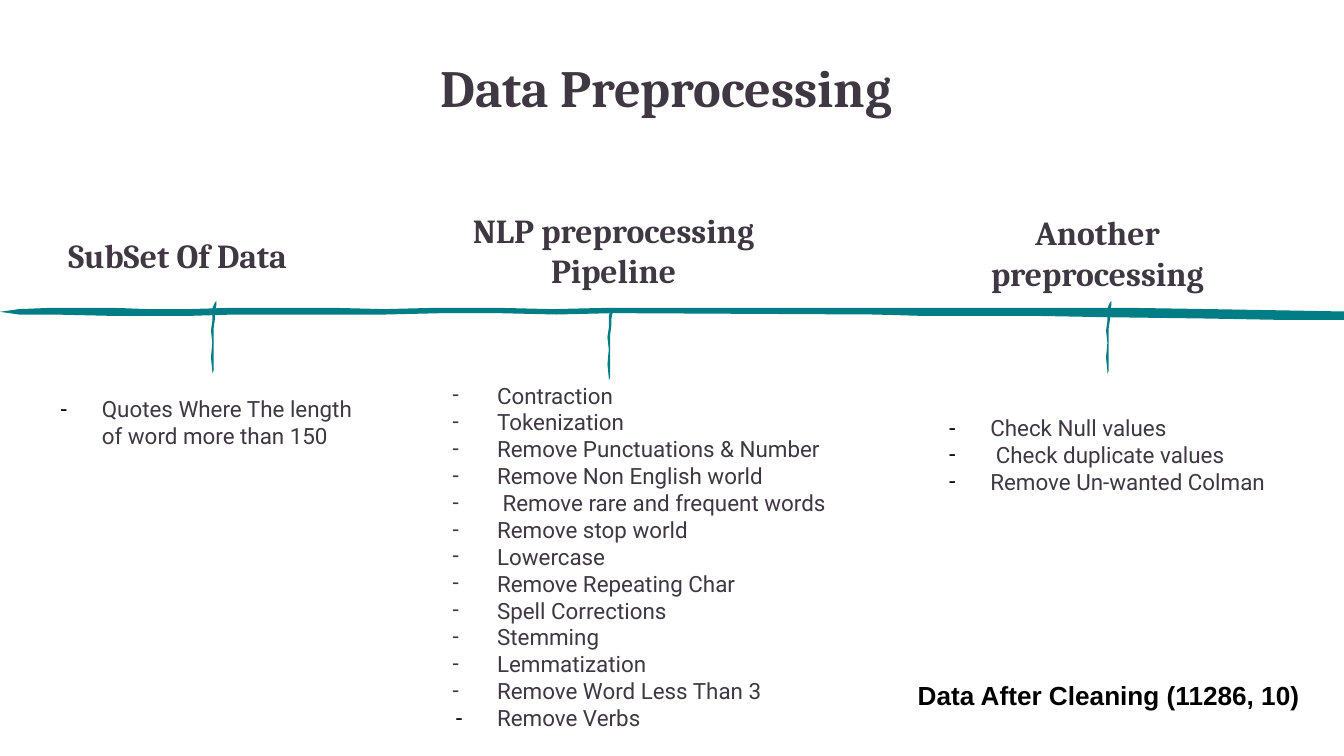
"""Build the Data Preprocessing timeline slide."""
from lxml import etree
from pptx import Presentation
from pptx.dml.color import RGBColor
from pptx.enum.text import MSO_ANCHOR, MSO_AUTO_SIZE, PP_ALIGN
from pptx.oxml.ns import qn
from pptx.util import Inches, Pt

INK = RGBColor(0x3F, 0x37, 0x42)
TEAL = RGBColor(0x00, 0x7D, 0x85)
BLACK = RGBColor(0x00, 0x00, 0x00)
WHITE = RGBColor(0xFF, 0xFF, 0xFF)
LEFT, CENTER = PP_ALIGN.LEFT, PP_ALIGN.CENTER
TOP = MSO_ANCHOR.TOP
GROW = MSO_AUTO_SIZE.SHAPE_TO_FIT_TEXT
FIXED = MSO_AUTO_SIZE.NONE

TIMELINE = [
    (0, 2.32), (0.14, 2.3), (0.39, 2.29), (0.84, 2.29), (1.1, 2.3), (1.4, 2.3),
    (1.73, 2.29), (2.47, 2.29), (2.86, 2.3), (3.25, 2.29), (3.69, 2.29),
    (4.11, 2.3), (4.54, 2.29), (6.48, 2.29), (8.38, 2.29), (9, 2.3),
    (9.57, 2.31), (10.13, 2.32), (10.37, 2.33), (10.67, 2.36), (10.77, 2.37),
    (10.59, 2.38), (9.54, 2.38), (8.98, 2.37), (8.24, 2.36), (7.68, 2.35),
    (6.85, 2.35), (6.5, 2.34), (4.57, 2.33), (4.14, 2.34), (3.7, 2.33),
    (3.3, 2.33), (2.87, 2.34), (1.75, 2.34), (1.42, 2.35), (0.82, 2.35),
    (0.39, 2.34), (0.14, 2.34),
]
TICK = [
    (0.04, 0), (0.03, 0.01), (0.02, 0.03), (0.01, 0.06), (0.01, 0.15),
    (0, 0.22), (0.01, 0.31), (0, 0.42), (0.01, 0.52), (0.01, 0.54),
    (0.02, 0.52), (0.02, 0.2), (0.03, 0.13), (0.03, 0.08), (0.04, 0.03),
]
TICK_ORIGINS = [(1.57, 2.24), (4.52, 2.29), (8.23, 2.24)]

PIPELINE_STEPS = [
    "Contraction", "Tokenization", "Remove Punctuations & Number",
    "Remove Non English world", " Remove rare and frequent words",
    "Remove stop world", "Lowercase", "Remove Repeating Char",
    "Spell Corrections", "Stemming", "Lemmatization",
    "Remove Word Less Than 3", "Remove Verbs",
]
OTHER_STEPS = ["Check Null values", " Check duplicate values", "Remove Un-wanted Colman"]


def write(paragraph, text, font="Cambria", size=18, color=INK, bold=True, align=LEFT):
    paragraph.alignment = align
    run = paragraph.add_run()
    run.text = text
    run.font.name = font
    run.font.size = Pt(size)
    run.font.bold = bold
    run.font.color.rgb = color


def add_dash(paragraph, color, size, indent, font):
    properties = paragraph._p.get_or_add_pPr()
    properties.set("marL", str(Inches(0.5)))
    properties.set("indent", str(Inches(-indent)))
    bullet_color = etree.SubElement(properties, qn("a:buClr"))
    etree.SubElement(bullet_color, qn("a:srgbClr"), val=str(color))
    etree.SubElement(properties, qn("a:buSzPts"), val=str(size * 100))
    etree.SubElement(properties, qn("a:buFont"), typeface=font)
    etree.SubElement(properties, qn("a:buChar"), char="-")


class SlideBuilder:
    def __init__(self, slide):
        self.slide = slide
        slide.background.fill.solid()
        slide.background.fill.fore_color.rgb = WHITE

    def frame(self, box, wrap=True, auto_size=FIXED):
        frame = self.slide.shapes.add_textbox(*map(Inches, box)).text_frame
        frame.word_wrap = wrap
        frame.auto_size = auto_size
        frame.vertical_anchor = TOP
        frame.margin_left = frame.margin_right = Inches(0.1)
        frame.margin_top = frame.margin_bottom = Inches(0.1 if wrap else 0.05)
        return frame

    def text(self, box, lines, wrap=True, auto_size=FIXED, **style):
        frame = self.frame(box, wrap, auto_size)
        for index, line in enumerate(lines):
            paragraph = frame.add_paragraph() if index else frame.paragraphs[0]
            write(paragraph, line, **style)
        return frame

    def dashes(self, box, items, ink_count=0):
        frame = self.text(box, items, font="Roboto", size=12, bold=False)
        for index, paragraph in enumerate(frame.paragraphs):
            if index < ink_count:
                add_dash(paragraph, INK, 12, 0.33, "Roboto")
            else:
                add_dash(paragraph, BLACK, 11, 0.31, "Arial")

    def stroke(self, points, origin=(0, 0)):
        left, top = origin
        corners = [(Inches(left + x), Inches(top + y)) for x, y in points]
        outline = self.slide.shapes.build_freeform(*corners[0])
        outline.add_line_segments(corners[1:], close=True)
        shape = outline.convert_to_shape()
        shape.shadow.inherit = False
        shape.fill.solid()
        shape.fill.fore_color.rgb = TEAL
        shape.line.fill.background()


def main():
    deck = Presentation()
    deck.slide_width = Inches(10)
    deck.slide_height = Inches(10 * 9 / 16)
    builder = SlideBuilder(deck.slides.add_slide(deck.slide_layouts[6]))

    builder.text((2.77, 0.31, 4.46, 0.63), ["Data Preprocessing "], size=28, align=CENTER)
    builder.text((3.19, 1.46, 2.75, 0.54), ["NLP preprocessing", "Pipeline"], align=CENTER)
    builder.dashes((3.1, 2.74, 3.45, 2.26), PIPELINE_STEPS, ink_count=len(PIPELINE_STEPS) - 1)

    builder.stroke(TIMELINE)
    for origin in TICK_ORIGINS:
        builder.stroke(TICK, origin)

    builder.text((0.41, 1.65, 2.75, 0.54), ["SubSet Of Data"])
    builder.dashes((0.16, 2.84, 2.67, 2.26), ["Quotes Where The length of word more than 150"])
    builder.text((6.79, 1.48, 2.75, 0.54), ["Another preprocessing"], align=CENTER)
    builder.dashes((6.77, 2.98, 3.15, 0.75), OTHER_STEPS)

    builder.text((6.73, 5.01, 3.07, 0.34), ["Data After Cleaning (11286, 10)"],
                 wrap=False, auto_size=GROW, font="Arial", size=14, color=BLACK)
    deck.save("out.pptx")


if __name__ == "__main__":
    main()
